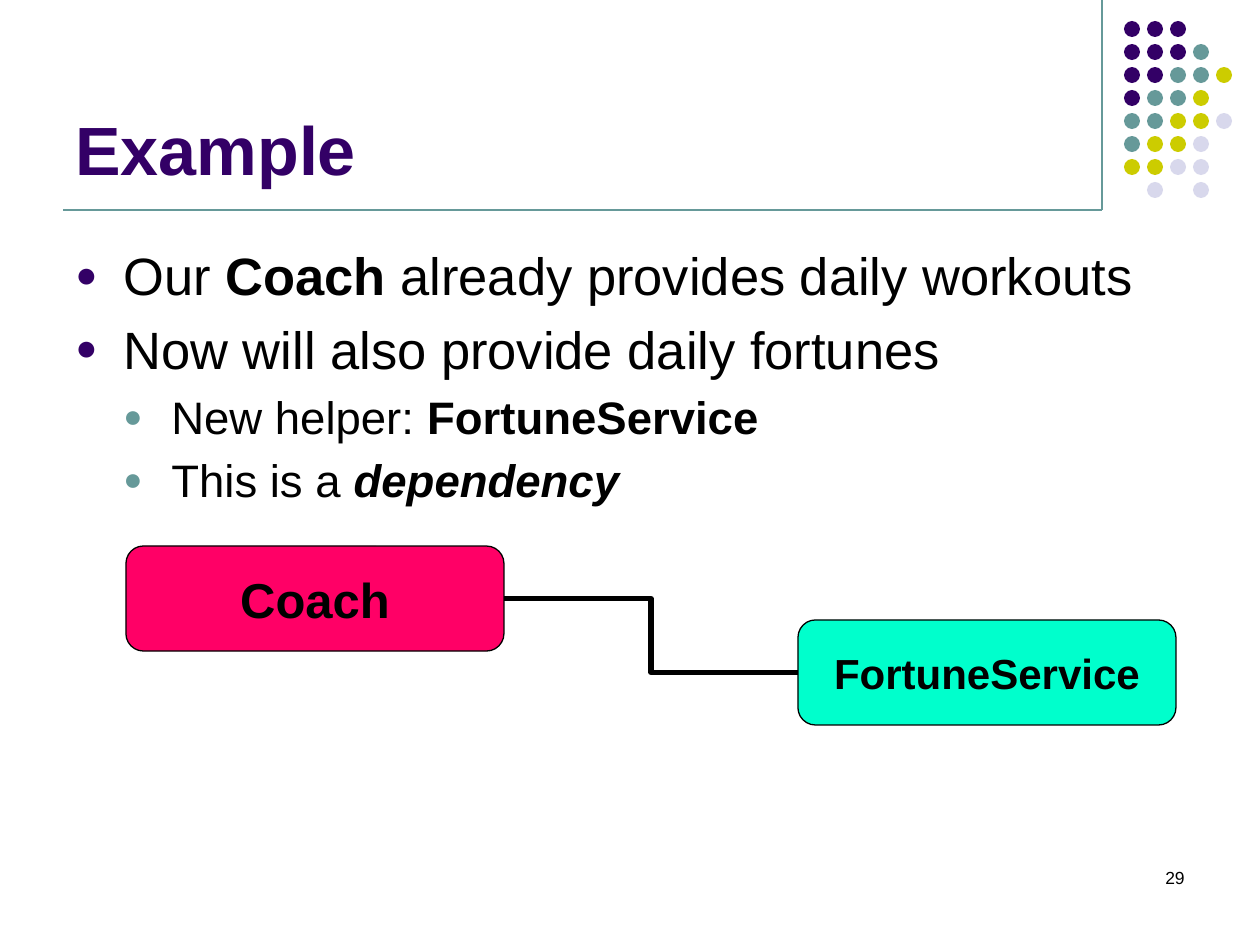
from lxml import etree
from pptx import Presentation, util as u
from pptx.dml.color import RGBColor
from pptx.enum import shapes, text
from pptx.oxml import ns

PX = 914400 / 126
PURPLE = RGBColor(0x33, 0x00, 0x66)
TEAL = RGBColor(0x66, 0x99, 0x99)
OLIVE = RGBColor(0xCC, 0xCC, 0x00)
PALE = RGBColor(0xD8, 0xD8, 0xEC)
PINK = RGBColor(0xFF, 0x00, 0x66)
MINT = RGBColor(0x00, 0xFF, 0xCC)
BLACK = RGBColor(0, 0, 0)

TONES = {"P": PURPLE, "T": TEAL, "O": OLIVE, "L": PALE}
DOTS = ["PPP", "PPPT", "PPTTO", "PTTO", "TTOOL", "TOOL", "OOLL", " L L"]
POINTS = [
    (0, [("Our ", ""), ("Coach ", "b"), ("already provides daily workouts", "")]),
    (0, [("Now will also provide daily fortunes", "")]),
    (1, [("New helper: ", ""), ("FortuneService", "b")]),
    (1, [("This is a ", ""), ("dependency", "bi")]),
]
LEVELS = [(30, PURPLE), (26, TEAL)]


def px(*vals):
    return [u.Emu(round(v * PX)) for v in vals]


def style(run, size, color=BLACK, marks=""):
    font = run.font
    font.name = "Arial"
    font.size = u.Pt(size)
    font.color.rgb = color
    font.bold = "b" in marks
    font.italic = "i" in marks


def add_shape(slide, kind, box, fill):
    shape = slide.shapes.add_shape(kind, *px(*box))
    shape.shadow.inherit = False
    shape.fill.solid()
    shape.fill.fore_color.rgb = fill
    shape.line.fill.background()
    return shape


def add_line(slide, kind, ends, color, width):
    line = slide.shapes.add_connector(kind, *px(*ends))
    line.line.color.rgb = color
    line.line.width = u.Pt(width)
    etree.SubElement(line._element.spPr, ns.qn("a:effectLst"))
    return line


def add_dots(slide):
    pitch = 23
    for row, tones in enumerate(DOTS):
        for col, tone in enumerate(tones):
            if tone in TONES:
                box = (1124 + col * pitch, 21 + row * pitch, 16, 16)
                add_shape(slide, shapes.MSO_SHAPE.OVAL, box, TONES[tone])


def add_text(slide, box, words="", size=10, color=BLACK, marks="",
             align=text.PP_ALIGN.LEFT, anchor=text.MSO_ANCHOR.TOP):
    frame = slide.shapes.add_textbox(*px(*box)).text_frame
    frame.word_wrap = True
    frame.vertical_anchor = anchor
    par = frame.paragraphs[0]
    par.alignment = align
    if words:
        par.text = words
        style(par.runs[0], size, color, marks)
    return frame


def add_bullet(par, level, color):
    props = par._p.get_or_add_pPr()
    step = px(48)[0]
    props.set("marL", str(step * (level + 1)))
    props.set("indent", str(-step))
    space = etree.SubElement(props, ns.qn("a:spcBef"))
    etree.SubElement(space, ns.qn("a:spcPct"), val="20000")
    tint = etree.SubElement(props, ns.qn("a:buClr"))
    etree.SubElement(tint, ns.qn("a:srgbClr"), val=str(color))
    etree.SubElement(props, ns.qn("a:buSzPct"), val="70000")
    etree.SubElement(props, ns.qn("a:buFont"), typeface="Arial")
    etree.SubElement(props, ns.qn("a:buChar"), char="●")


def add_points(slide):
    frame = add_text(slide, (63, 237, 1134, 607))
    for num, (level, parts) in enumerate(POINTS):
        par = frame.add_paragraph() if num else frame.paragraphs[0]
        size, color = LEVELS[level]
        par.level = level
        add_bullet(par, level, color)
        for words, marks in parts:
            run = par.add_run()
            run.text = words
            style(run, size, marks=marks)


def add_card(slide, left, top, words, size, fill):
    card = add_shape(slide, shapes.MSO_SHAPE.ROUNDED_RECTANGLE,
                     (left, top, 378, 105), fill)
    card.line.color.rgb = BLACK
    card.line.width = u.Pt(0.75)
    frame = card.text_frame
    frame.text = words
    frame.vertical_anchor = text.MSO_ANCHOR.MIDDLE
    par = frame.paragraphs[0]
    par.alignment = text.PP_ALIGN.CENTER
    style(par.runs[0], size, marks="b")
    return card


def main():
    deck = Presentation()
    deck.slide_width, deck.slide_height = px(1260, 945)
    slide = deck.slides.add_slide(deck.slide_layouts[6])
    link = shapes.MSO_CONNECTOR
    add_line(slide, link.STRAIGHT, (1102, 0, 1102, 210), TEAL, 0.75)
    add_dots(slide)
    add_line(slide, link.STRAIGHT, (63, 210, 1102, 210), TEAL, 0.75)
    add_text(slide, (63, 16, 1040, 179), "Example", 39, PURPLE, "b",
             anchor=text.MSO_ANCHOR.BOTTOM)
    add_points(slide)
    add_text(slide, (903, 861, 294, 63), "29", align=text.PP_ALIGN.RIGHT)
    coach = add_card(slide, 126, 546, "Coach", 28, PINK)
    helper = add_card(slide, 798, 620, "FortuneService", 24, MINT)
    bend = add_line(slide, link.ELBOW, (504, 598, 798, 672), BLACK, 3)
    bend.begin_connect(coach, 3)
    bend.end_connect(helper, 1)
    deck.save("out.pptx")


if __name__ == "__main__":
    main()
